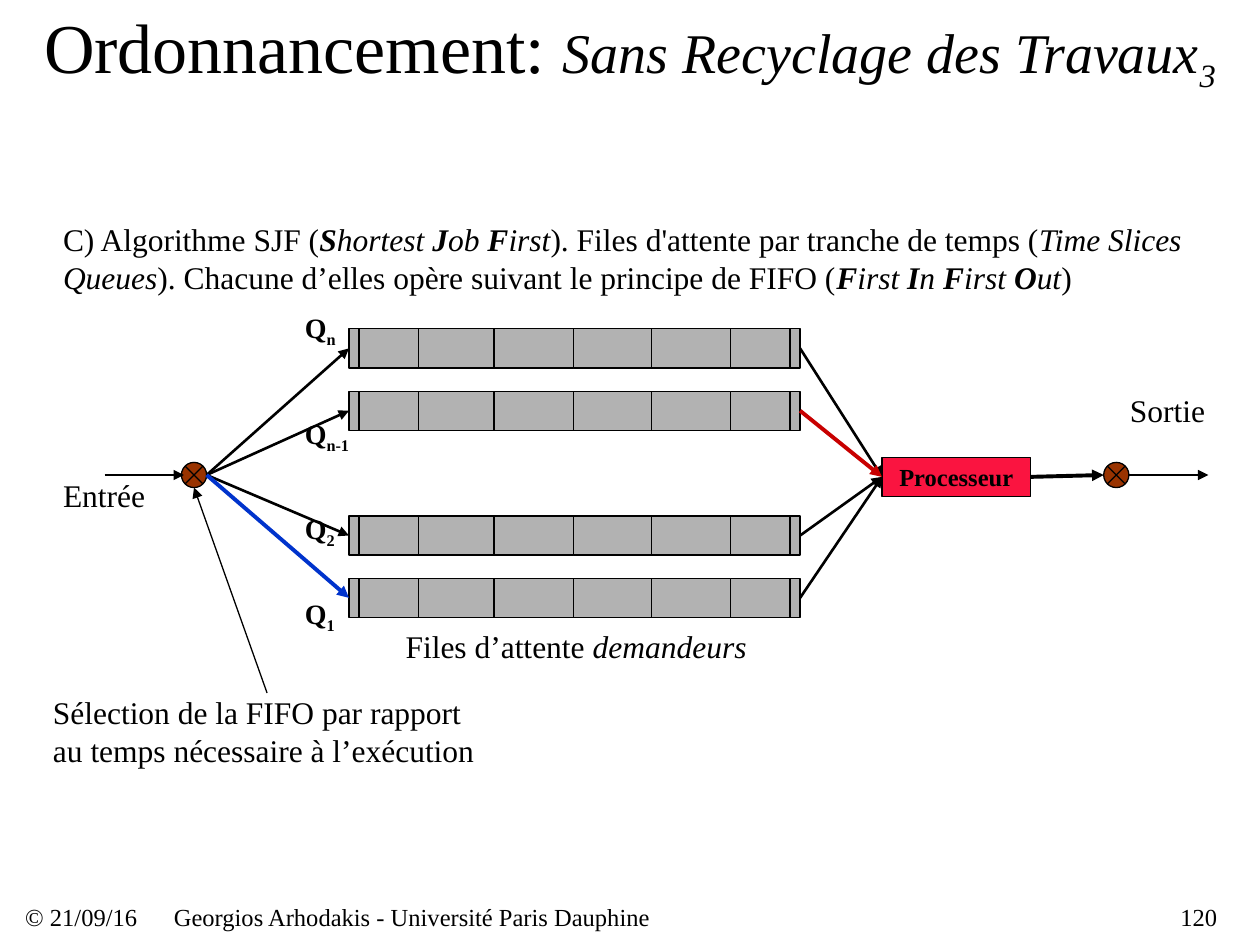
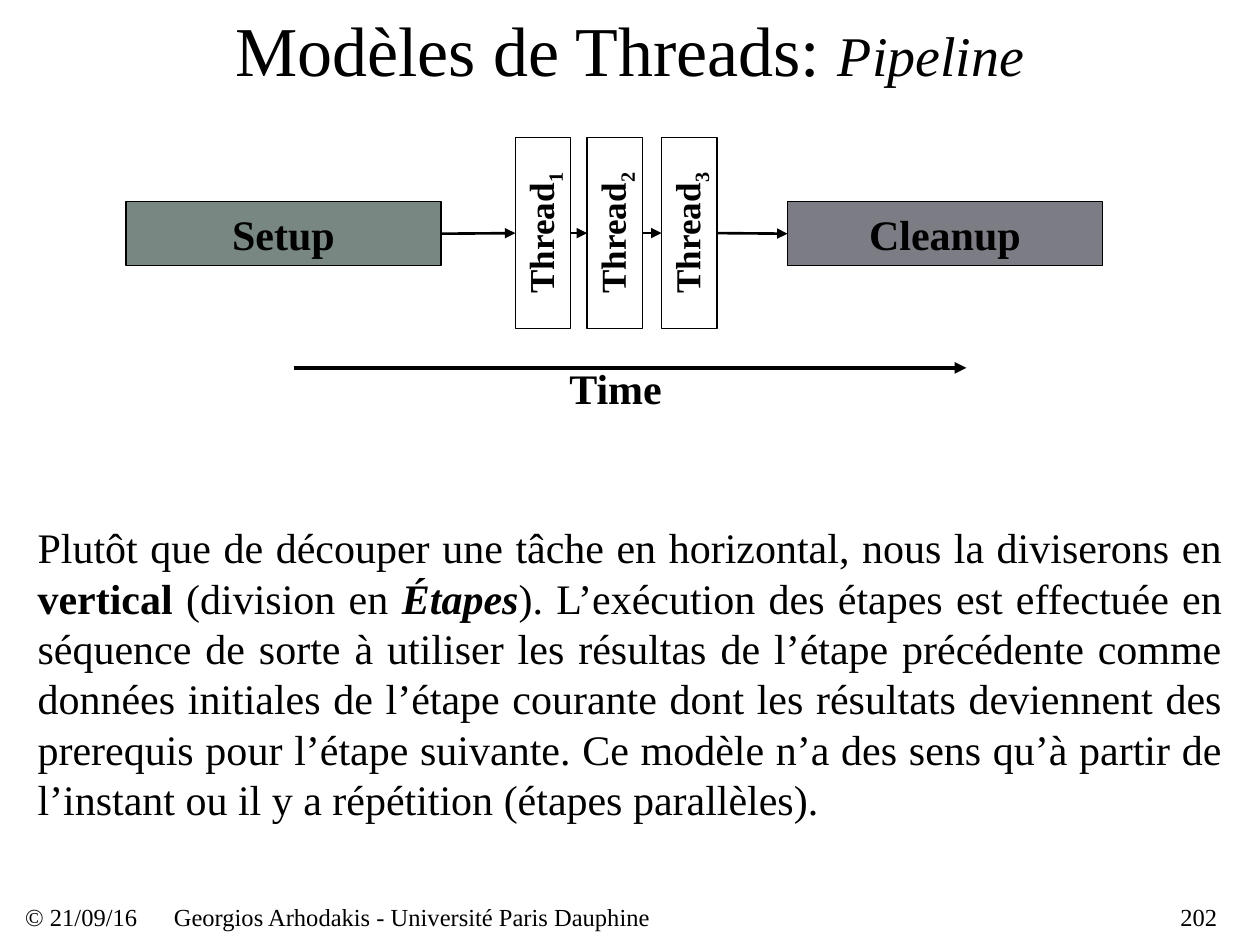
from pptx import Presentation
from pptx.dml.color import RGBColor
from pptx.enum.shapes import MSO_CONNECTOR, MSO_SHAPE as SHAPE
from pptx.enum.text import MSO_ANCHOR as ANCHOR, PP_ALIGN as ALIGN
from pptx.oxml.ns import qn
from pptx.util import Inches, Pt
from lxml.etree import SubElement

COLOURS = {
    "ink": "000000", "queue": "B2B2B2", "junction": "993300",
    "processor": "FA1440", "chosen_in": "0033CC", "chosen_out": "C80000",
    "setup": "798783", "cleanup": "7C7C84",
}
FONT = "Times New Roman"

deck = Presentation()
deck.slide_width, deck.slide_height = Inches(10), Inches(7.5)
UNIT = deck.slide_width // 10  # the slide is a grid of 10 columns by 7.5 rows


def put(slide, place, runs=(), size=18, kind=None, fill=None, align=ALIGN.LEFT,
        anchor=ANCHOR.MIDDLE, inset=True, wrap=True):
    """Place a title, preset shape or text box (left, top, width, height in units).

    Each run is (text, marks): b bold, i italic, _ subscript, L large title part.
    """
    left, top, width, height = (round(n * UNIT) for n in place)
    if kind == "title":
        item = slide.shapes.title
        item.left, item.top, item.width, item.height = left, top, width, height
    elif kind is None:
        item = slide.shapes.add_textbox(left, top, width, height)
    else:
        item = slide.shapes.add_shape(kind, left, top, width, height)
        item.shadow.inherit = False
        item.line.color.rgb = RGBColor.from_string(COLOURS["ink"])
        item.line.width = Pt(0.75)
        if fill:
            item.fill.solid()
            item.fill.fore_color.rgb = RGBColor.from_string(COLOURS[fill])
        else:
            item.fill.background()
    frame = item.text_frame
    frame.word_wrap = wrap
    frame.vertical_anchor = anchor
    if not inset:
        frame.margin_left = frame.margin_right = frame.margin_top = frame.margin_bottom = 0
    paragraph = frame.paragraphs[0]
    paragraph.alignment = align
    for text, marks in runs:
        run = paragraph.add_run()
        run.text = text
        font = run.font
        font.name, font.size = FONT, Pt(40 if "L" in marks else size)
        font.bold, font.italic = "b" in marks, "i" in marks
        font.color.rgb = RGBColor.from_string(COLOURS["ink"])
        if "_" in marks:
            run._r.get_or_add_rPr().set("baseline", "-25000")
    return item


def arrow(slide, start, end, width=1.5, colour="ink"):
    """Draw an arrow; each end is a grid point or a (shape, side) to join."""
    joined = [hasattr(tip[0], "shape_id") for tip in (start, end)]
    x1, y1 = (0, 0) if joined[0] else start
    x2, y2 = (0, 0) if joined[1] else end
    line = slide.shapes.add_connector(
        MSO_CONNECTOR.STRAIGHT, *(round(n * UNIT) for n in (x1, y1, x2, y2)))
    if joined[0]:
        line.begin_connect(*start)
    if joined[1]:
        line.end_connect(*end)
    line.line.color.rgb = RGBColor.from_string(COLOURS[colour])
    line.line.width = Pt(width)
    SubElement(line.line._get_or_add_ln(), qn("a:tailEnd"), type="triangle")
    SubElement(line._element.spPr, qn("a:effectLst"))


# Titles and footers
slides = []
for number, title_left, title_width, title in (
    ("120", 0.2, 9.6, [("Ordonnancement: ", "L"), ("Sans Recyclage des Travaux", "i"), ("3", "i_")]),
    ("202", 0.75, 8.5, [("Modèles de Threads: ", "L"), ("Pipeline", "i")]),
):
    slide = deck.slides.add_slide(deck.slide_layouts[5])
    put(slide, (title_left, 0, title_width, 0.77), title, 32, "title", align=ALIGN.CENTER)
    for left, width, text, align in (
        (0.2, 1.08, "© 21/09/16", ALIGN.LEFT),
        (1.38, 6.83, "Georgios Arhodakis - Université Paris Dauphine", ALIGN.LEFT),
        (8.66, 1, number, ALIGN.RIGHT),
    ):
        put(slide, (left, 7.16, width, 0.23), [(text, "")], 14, align=align, inset=False)
    slides.append(slide)
scheduling, pipeline = slides

# Slide 1: shortest job first
put(scheduling, (0.5, 1.75, 9.08, 0.6), [
    ("C) Algorithme SJF (", ""), ("S", "bi"), ("hortest ", "i"), ("J", "bi"), ("ob ", "i"),
    ("F", "bi"), ("irst", "i"), ("). Files d'attente par tranche de temps (", ""),
    ("Time Slices Queues", "i"),
    ("). Chacune d’elles opère suivant le principe de FIFO (", ""),
    ("F", "bi"), ("irst ", "i"), ("I", "bi"), ("n ", "i"), ("F", "bi"), ("irst ", "i"),
    ("O", "bi"), ("ut", "i"), (")", ""),
], inset=False)

AXIS = 3.77
JUNCTION = 0.2
entry_left, exit_left = 1.44, 8.76
processor = put(scheduling, (7, 3.63, 1.18, 0.31), [("Processeur", "b")], 14, SHAPE.RECTANGLE,
                "processor", ALIGN.CENTER, wrap=False)
for left in (entry_left, exit_left):
    put(scheduling, (left, AXIS - JUNCTION / 2, JUNCTION, JUNCTION),
        kind=SHAPE.FLOWCHART_SUMMING_JUNCTION, fill="junction")

QUEUE_TOP, QUEUE_STEP = 2.61, 0.495
SLOT_WIDTH, SLOT_HEIGHT = 0.63, 0.31
for step, index, label_top, in_look, out_look in (
    (0, "n", 2.48, (1.5, "ink"), (1.5, "ink")),
    (1, "n-1", 3.32, (1.5, "ink"), (2.25, "chosen_out")),
    (3, "2", 4.08, (1.5, "ink"), (1.5, "ink")),
    (4, "1", 4.75, (2.25, "chosen_in"), (1.5, "ink")),
):
    top = QUEUE_TOP + step * QUEUE_STEP
    tail, head = (
        put(scheduling, (left, top, SLOT_WIDTH, SLOT_HEIGHT),
            kind=SHAPE.FLOWCHART_PREDEFINED_PROCESS, fill="queue")
        for left in (2.77, 5.72))
    for left in (3.32, 3.92, 4.55, 5.17):
        put(scheduling, (left, top, SLOT_WIDTH, SLOT_HEIGHT),
            kind=SHAPE.FLOWCHART_PROCESS, fill="queue")
    put(scheduling, (2.42, label_top, 0.67, 0.27), [("Q", "b"), (index, "b_")], 16, inset=False)
    arrow(scheduling, (entry_left + JUNCTION, AXIS), (tail, 1), *in_look)
    arrow(scheduling, (head, 3), (processor, 1), *out_look)

arrow(scheduling, (0.83, AXIS), (entry_left + 0.02, AXIS), 1)
arrow(scheduling, (processor, 3), (exit_left, AXIS), 2.25)
arrow(scheduling, (exit_left + JUNCTION, AXIS), (9.59, AXIS), 1)
arrow(scheduling, (2.12, 5.5), (entry_left + JUNCTION / 2, AXIS + JUNCTION / 2), 0.75)

put(scheduling, (8.87, 3.05, 0.8, 0.4), [("Sortie", "")])
put(scheduling, (0.5, 3.78, 0.92, 0.3), [("Entrée", "")], inset=False)
put(scheduling, (3.12, 4.93, 2.92, 0.4), [("Files d’attente ", ""), ("demandeurs", "i")])
put(scheduling, (0.42, 5.5, 3.42, 0.6),
    [("Sélection de la FIFO par rapport au temps nécessaire à l’exécution", "")], inset=False)

# Slide 2: thread pipeline
put(pipeline, (0.2, 4.09, 9.6, 2.5), [
    ("Plutôt que de découper une tâche en horizontal, nous la diviserons en ", ""),
    ("vertical", "b"), (" (division en ", ""), ("Étapes", "bi"),
    ("). L’exécution des étapes est effectuée en séquence de sorte à utiliser les résultas de "
     "l’étape précédente comme données initiales de l’étape courante dont les résultats "
     "deviennent des prerequis pour l’étape suivante. Ce modèle n’a des sens qu’à partir de "
     "l’instant ou il y a répétition (étapes parallèles).", ""),
], 24, align=ALIGN.JUSTIFY)

FLOW = 1.85
setup, cleanup = (
    put(pipeline, (left, FLOW - 0.25, 2.5, 0.51), [(text, "b")], 24, SHAPE.RECTANGLE,
        fill, ALIGN.CENTER)
    for left, text, fill in ((1, "Setup", "setup"), (6.25, "Cleanup", "cleanup")))

THREAD_LENGTH, THREAD_WIDTH = 1.52, 0.44
source = (setup, 3)
for number, centre in enumerate((4.31, 4.88, 5.47), start=1):
    thread = put(pipeline, (centre - THREAD_LENGTH / 2, FLOW - THREAD_WIDTH / 2,
                            THREAD_LENGTH, THREAD_WIDTH),
                 [("Thread", "b"), (str(number), "b_")], 20, SHAPE.RECTANGLE, align=ALIGN.CENTER)
    thread.rotation = 270
    arrow(pipeline, source, (centre - THREAD_WIDTH / 2, FLOW))
    source = (centre + THREAD_WIDTH / 2, FLOW)
arrow(pipeline, source, (cleanup, 1))

arrow(pipeline, (2.33, 2.92), (7.67, 2.92), 2.25)
put(pipeline, (4.42, 2.83, 0.94, 0.5), [("Time", "b")], 24, anchor=ANCHOR.TOP, wrap=False)

deck.save("out.pptx")
